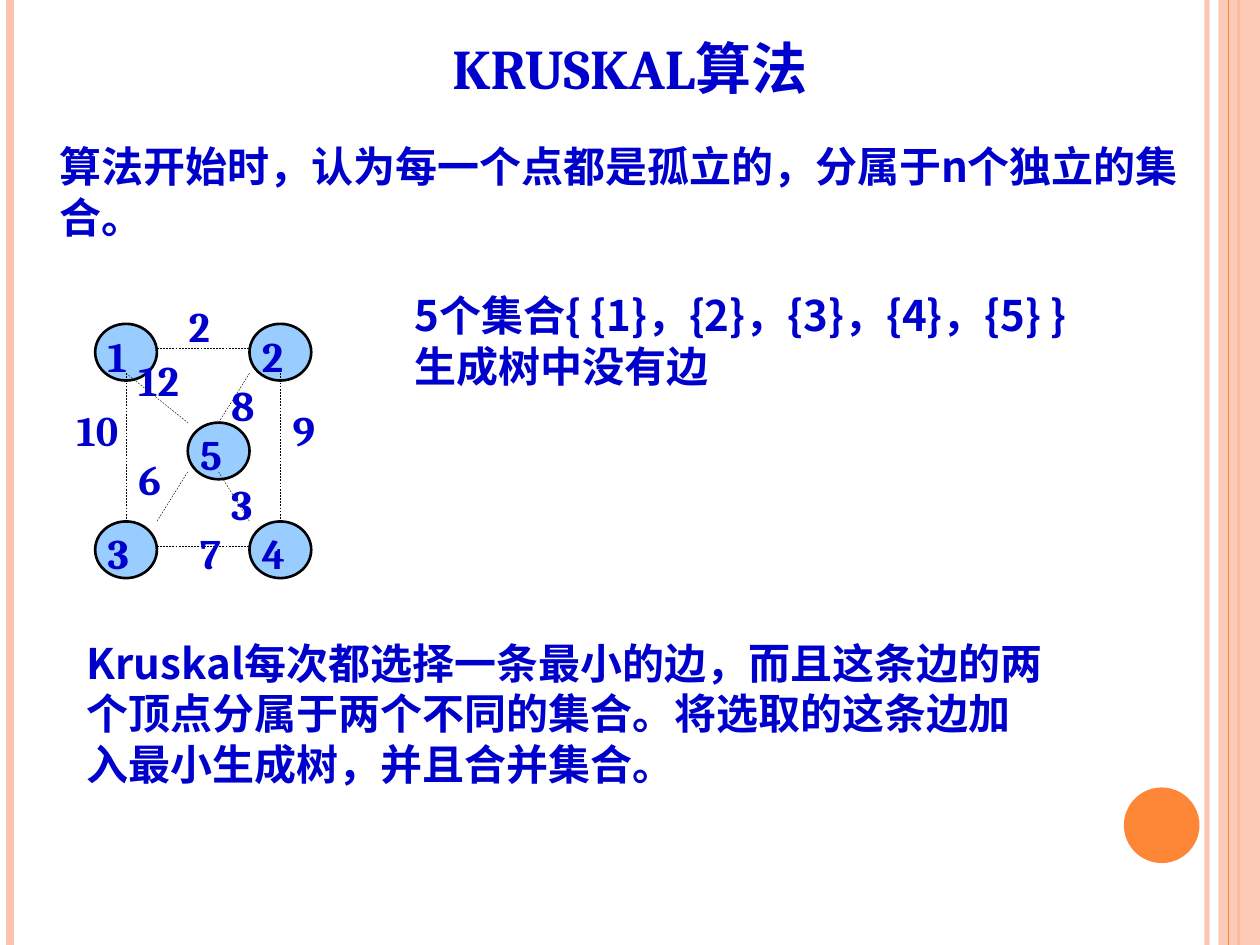
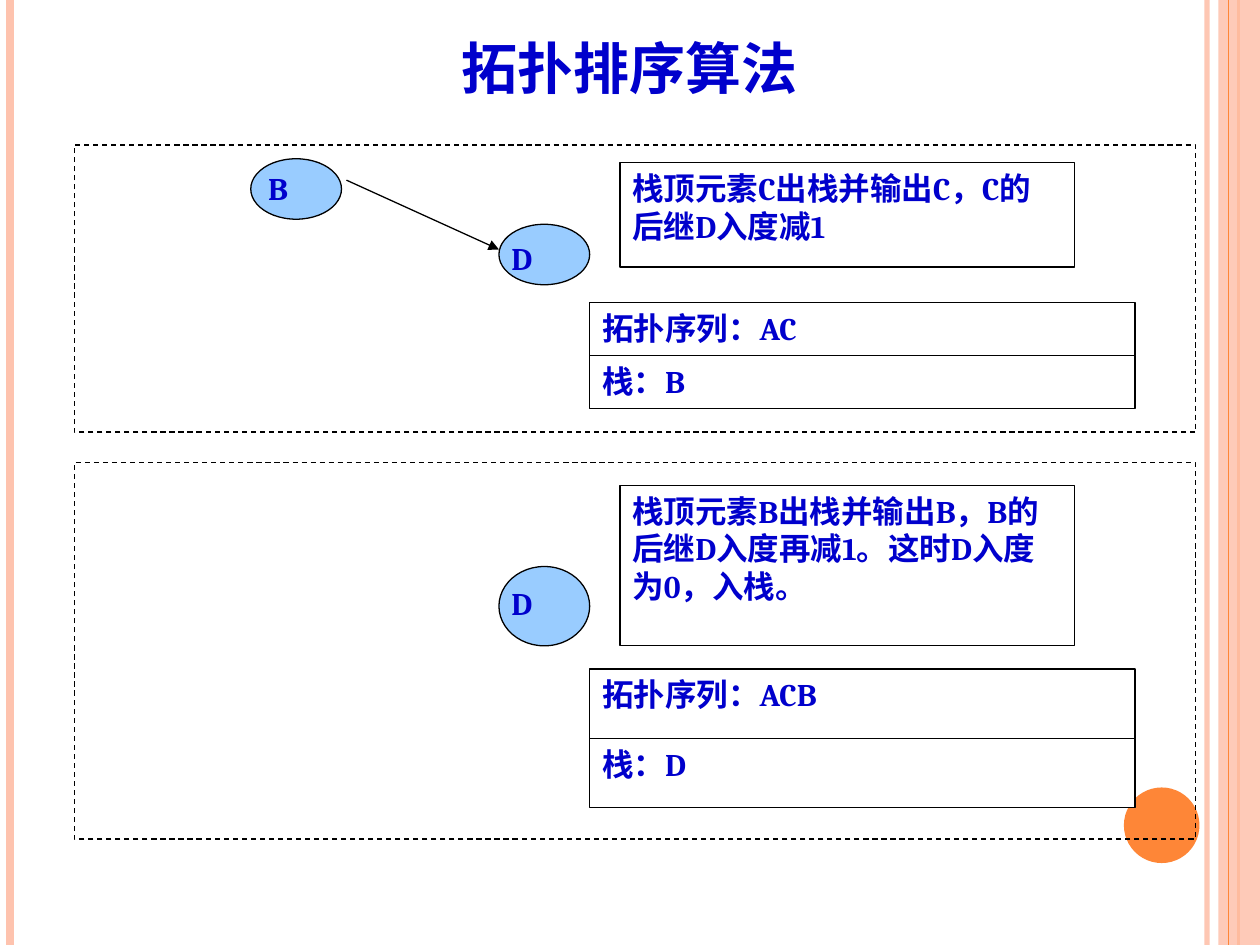
from dataclasses import dataclass

from lxml.etree import SubElement
from pptx import Presentation
from pptx.dml.color import RGBColor
from pptx.enum.dml import MSO_LINE
from pptx.enum.shapes import MSO_CONNECTOR, MSO_SHAPE
from pptx.enum.text import MSO_ANCHOR, MSO_AUTO_SIZE, PP_ALIGN
from pptx.oxml.ns import qn
from pptx.util import Inches, Pt


@dataclass(frozen=True)
class Theme:
    ink: str = "0000CC"
    outline: str = "000000"
    node: str = "99CCFF"
    paper: str = "FFFFFF"
    peach: str = "FEC3AE"
    orange: str = "FE8637"
    serif: str = "Cambria"
    sans: str = "Noto Sans CJK SC"
    title_size: int = 32
    body_size: int = 24
    note_size: int = 18


THEME = Theme()
PAGE_WIDTH, PAGE_HEIGHT = 10, 7.5


def write(frame, lines, size, font=THEME.serif, align=PP_ALIGN.LEFT, anchor=MSO_ANCHOR.TOP):
    frame.word_wrap = True
    frame.auto_size = MSO_AUTO_SIZE.NONE
    frame.vertical_anchor = anchor
    for index, line in enumerate(lines):
        para = frame.add_paragraph() if index else frame.paragraphs[0]
        para.alignment = align
        span = para.add_run()
        span.text = line
        span.font.name = font
        span.font.size = Pt(size)
        span.font.bold = True
        span.font.color.rgb = RGBColor.from_string(THEME.ink)


def add_text(page, box, lines, size, font=THEME.serif):
    label = page.shapes.add_textbox(*map(Inches, box))
    write(label.text_frame, lines, size, font)


def style_line(line, color, width, dash=None):
    line.color.rgb = RGBColor.from_string(color)
    line.width = Pt(width)
    if dash:
        line.dash_style = dash


def add_block(page, kind, box, fill=None, width=0.75, color=THEME.outline, dash=None):
    """Add a preset shape; no fill or a zero width leaves that part empty."""
    block = page.shapes.add_shape(kind, *map(Inches, box))
    block.shadow.inherit = False
    if fill:
        block.fill.solid()
        block.fill.fore_color.rgb = RGBColor.from_string(fill)
    else:
        block.fill.background()
    if width:
        style_line(block.line, color, width, dash)
    else:
        block.line.fill.background()
    return block


def add_line(page, start, end, width, color=THEME.outline, dash=None, arrow=False):
    link = page.shapes.add_connector(MSO_CONNECTOR.STRAIGHT, *map(Inches, (*start, *end)))
    style_line(link.line, color, width, dash)
    if arrow:
        SubElement(link.line._get_or_add_ln(), qn("a:tailEnd"), type="triangle")
    SubElement(link.element.spPr, qn("a:effectLst"))
    return link


def set_opacity(shape, percent):
    for color in shape.element.spPr.iter(qn("a:srgbClr")):
        SubElement(color, qn("a:alpha"), val=str(percent * 1000))


def decorate_layout(layout, page):
    """Draw the side bands on the page, then move them to its layout."""
    for placeholder in list(layout.placeholders):
        if placeholder.placeholder_format.idx:
            placeholder.element.getparent().remove(placeholder.element)

    def rule(x, color, width):
        return add_line(page, (x, 0), (x, PAGE_HEIGHT), width, color)

    inner_rule = rule(9.58, THEME.peach, 3)
    set_opacity(inner_rule, 93)
    left_rule = rule(0.08, THEME.peach, 4.5)
    wide_rule = rule(9.83, THEME.orange, 1.5)
    band = add_block(page, MSO_SHAPE.RECTANGLE, (9.67, 0, 0.33, PAGE_HEIGHT), THEME.peach, 0)
    set_opacity(band, 87)
    thin_rule = rule(9.75, THEME.orange, 0.75)
    disc = add_block(page, MSO_SHAPE.OVAL, (8.92, 6.25, 0.6, 0.6), THEME.orange, 0)
    for part in (inner_rule, left_rule, wide_rule, band, thin_rule, disc):
        layout.shapes.element.append(part.element)


def add_title(page, text):
    title = page.shapes.title
    title.left, title.top, title.width, title.height = map(Inches, (0.5, 0.21, 9, 0.64))
    write(title.text_frame, [text], THEME.title_size,
          align=PP_ALIGN.CENTER, anchor=MSO_ANCHOR.BOTTOM)


def set_east_asian_font(page):
    for properties in page.shapes.element.iter(qn("a:rPr")):
        SubElement(properties, qn("a:ea"), typeface=THEME.sans)


def draw_weighted_graph(page, left, top):
    """Place nodes, edges and weights on a fine grid of columns and rows."""
    column, row = 0.245, 0.196
    nodes = {"1": (1, 0), "2": (6, 0), "3": (1, 8), "4": (6, 8), "5": (4, 4)}
    edges = [((3, 1), (6, 1)), ((2, 2), (2, 8)), ((3, 9), (6, 9)), ((7, 2), (7, 8)),
             ((2, 2), (4, 4)), ((4, 6), (3, 8)), ((5, 6), (6, 8)), ((6, 2), (5, 4))]
    weights = [("2", 3.63, -1.2), ("12", 2, 1), ("8", 5, 2), ("9", 7, 3),
               ("6", 2, 5), ("7", 4, 8), ("3", 5, 6), ("10", 0, 3)]

    def at(x, y):
        return left + x * column, top + y * row

    for name, cell in nodes.items():
        add_block(page, MSO_SHAPE.OVAL, (*at(*cell), 0.49, 0.45), THEME.node, 1.5)
        add_text(page, (*at(*cell), 0.49, 0.59), [name], THEME.body_size)
    for start, end in edges:
        add_line(page, at(*start), at(*end), 0.25, dash=MSO_LINE.DASH)
    for weight, x, y in weights:
        width = 0.65 if len(weight) > 1 else 0.49
        add_text(page, (*at(x, y), width, 0.59), [weight], THEME.body_size)


def draw_stack_step(page, box, note, note_height, sequence, stack, source=None):
    """Draw one dashed panel; its rows stretch with the panel height."""
    left, top, width, height = box
    stretch = height / 2.28

    def place(x, y, w, h):
        return left + x, top + y * stretch, w, h * stretch

    def vertex(name, x, y, text_x, text_y):
        add_block(page, MSO_SHAPE.OVAL, place(x, y, 0.72, 0.48), THEME.node)
        add_text(page, place(text_x, text_y, 0.62, 0.42), [name], THEME.note_size)

    def boxed_text(area, text):
        block = add_block(page, MSO_SHAPE.RECTANGLE, area, THEME.paper)
        write(block.text_frame, [text], THEME.note_size)

    add_block(page, MSO_SHAPE.RECTANGLE, box, dash=MSO_LINE.DASH)
    vertex("D", 3.37, 0.63, 3.37, 0.7)
    if source:
        vertex(source, 1.4, 0.11, 1.44, 0.14)
        add_line(page, (left + 2.16, top + 0.28), (left + 3.37, top + 0.83), 0.75, arrow=True)
    note_left, note_top, note_width, _ = place(4.33, 0.14, 3.61, 0)
    boxed_text((note_left, note_top, note_width, note_height), note)
    boxed_text(place(4.09, 1.67, 4.33, 0.42), f"栈：{stack}")
    boxed_text(place(4.09, 1.25, 4.33, 0.42), f"拓扑序列：{sequence}")


def build_kruskal(page):
    add_title(page, "KRUSKAL算法")
    add_text(page, (0.37, 1.07, 9.28, 0.9),
             ["算法开始时，认为每一个点都是孤立的，分属于n个独立的集合。"],
             THEME.body_size, THEME.sans)
    draw_weighted_graph(page, 0.51, 2.57)
    add_text(page, (3.19, 2.25, 5.73, 1.3),
             ["5个集合{ {1}，{2}，{3}，{4}，{5} }", "生成树中没有边"],
             THEME.body_size, THEME.sans)
    add_text(page, (0.59, 5.01, 7.84, 1.3),
             ["Kruskal每次都选择一条最小的边，而且这条边的两个顶点分属于两个不同的集合。"
              "将选取的这条边加入最小生成树，并且合并集合。"],
             THEME.body_size, THEME.sans)


def build_topological_sort(page):
    add_title(page, "拓扑排序算法")
    draw_stack_step(page, (0.59, 1.15, 8.9, 2.28),
                    "栈顶元素C出栈并输出C，C的后继D入度减1", 0.83, "AC", "B", source="B")
    draw_stack_step(page, (0.59, 3.67, 8.9, 2.99),
                    "栈顶元素B出栈并输出B，B的后继D入度再减1。这时D入度为0，入栈。",
                    1.27, "ACB", "D")


def main():
    deck = Presentation()
    deck.slide_width, deck.slide_height = Inches(PAGE_WIDTH), Inches(PAGE_HEIGHT)
    layout = deck.slide_layouts.get_by_name("Title Only")
    for number, build in enumerate((build_kruskal, build_topological_sort)):
        page = deck.slides.add_slide(layout)
        if number == 0:
            decorate_layout(layout, page)
        build(page)
        set_east_asian_font(page)
    deck.save("out.pptx")


if __name__ == "__main__":
    main()
